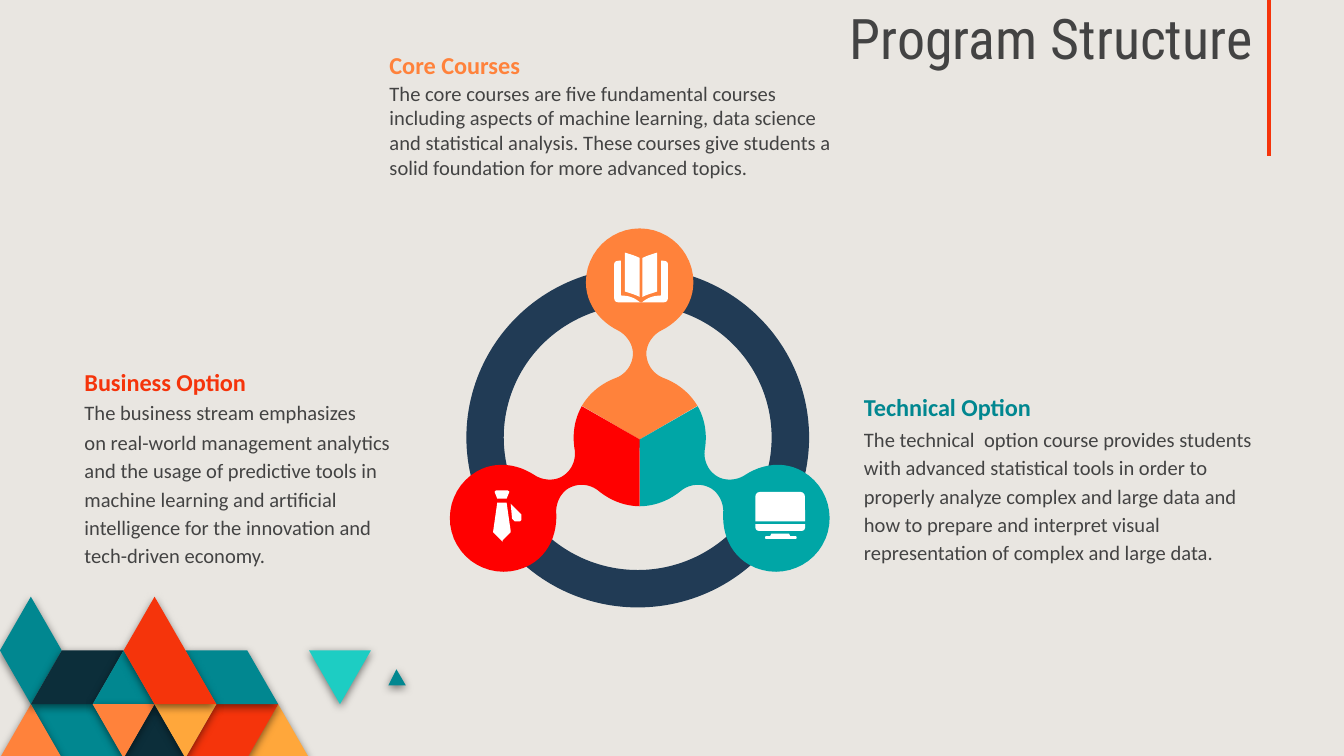
from math import cos, radians, sin

from lxml import etree
from pptx import Presentation
from pptx.dml.color import RGBColor
from pptx.enum.shapes import MSO_CONNECTOR, MSO_SHAPE
from pptx.enum.text import MSO_ANCHOR, PP_ALIGN
from pptx.oxml.ns import qn
from pptx.util import Inches, Pt

PX = 9144
STRAIGHT = MSO_CONNECTOR.STRAIGHT
DONUT = MSO_SHAPE.DONUT
TOP_ROUNDED = MSO_SHAPE.ROUND_2_SAME_RECTANGLE
TOP, BOTTOM = MSO_ANCHOR.TOP, MSO_ANCHOR.BOTTOM
LEFT, RIGHT = PP_ALIGN.LEFT, PP_ALIGN.RIGHT

SAND = RGBColor(0xE9, 0xE6, 0xE1)
GREY = RGBColor(0x43, 0x43, 0x43)
WHITE = RGBColor(0xFF, 0xFF, 0xFF)
NAVY = RGBColor(0x21, 0x3B, 0x55)
INK = RGBColor(0x0C, 0x2E, 0x3A)
ORANGE = RGBColor(0xFF, 0x82, 0x3B)
AMBER = RGBColor(0xFF, 0xA7, 0x3B)
VERMILION = RGBColor(0xF5, 0x34, 0x0B)
RED = RGBColor(0xFF, 0x00, 0x00)
TEAL = RGBColor(0x01, 0x87, 0x90)
CYAN = RGBColor(0x00, 0xA6, 0xA6)
AQUA = RGBColor(0x1D, 0xCD, 0xC3)

HUB = (476, 327)
CELL_W, CELL_H, MOSAIC_TOP = 23, 40, 444

MOSAIC = [
    (AMBER, [(10, 3), (9, 2), (8, 3)]),
    (VERMILION, [(9, 2), (7, 2), (6, 3), (8, 3)]),
    (TEAL, [(4, 3), (3, 2), (1, 2), (2, 3)]),
    (ORANGE, [(2, 3), (1, 2), (0, 3)]),
    (INK, [(6, 3), (5, 2), (4, 3)]),
    (TEAL, [(9, 2), (8, 1), (6, 1), (7, 2)]),
    (AQUA, [(12, 1), (10, 1), (11, 2)]),
    (TEAL, [(2, 1), (1, 0), (0, 1), (1, 2)]),
    (INK, [(4, 1), (2, 1), (1, 2), (3, 2)]),
    (TEAL, [(5, 2), (4, 1), (3, 2)]),
    (ORANGE, [(5, 2), (3, 2), (4, 3)]),
    (AMBER, [(7, 2), (5, 2), (6, 3)]),
    (VERMILION, [(7, 2), (5, 0), (4, 1), (5, 2)]),
]
SMALL_TRIANGLE = [(302, 510), (295, 498), (289, 510)]

HALF_BUBBLE = [
    (476, 170), (454, 170, 436, 188, 436, 210), (436, 226, 446, 239, 460, 246),
    (466, 249, 471, 256, 471, 263), (471, 271, 466, 278, 459, 281),
    (448, 285, 439, 292, 433, 302), HUB,
]
BUBBLES = [(ORANGE, 0), (RED, 240), (CYAN, 120)]

BOOK_CENTRE = 477
BOOK_COVER = [
    (461, 194), (458, 194, 457, 195, 457, 197), (457, 221),
    (457, 224, 458, 225, 461, 225), (477, 225), (476, 225, 475, 224, 475, 224),
    (471, 221, 467, 220, 463, 220), (462, 220, 462, 219, 462, 219), (462, 194),
]
BOOK_PAGE = [
    (465, 188), (465, 217), (468, 218, 472, 219, 476, 221), (476, 192),
    (472, 190, 468, 189, 465, 188),
]
TIE = [
    [(380, 375), (381, 386), (383, 388), (387, 388), (388, 387), (388, 383)],
    [(369, 365), (368, 366), (370, 371), (377, 371), (379, 366), (378, 365)],
    [(370, 374), (367, 395), (367, 396), (373, 402), (374, 403), (374, 402),
     (380, 396), (380, 395), (377, 374)],
]
MONITOR_FOOT = [
    (574, 397), (573, 399), (570, 399), (569, 399, 569, 401, 570, 401),
    (592, 401), (593, 401, 593, 399, 592, 399), (588, 399), (587, 397),
]


def trace(path, steps=12):
    """Turn corner pairs and cubic Bezier sextuples into a list of points."""
    points = []
    for step in path:
        if len(step) == 2:
            points.append(step)
            continue
        x0, y0 = points[-1]
        x1, y1, x2, y2, x3, y3 = step
        for i in range(1, steps + 1):
            t = i / steps
            a, b, c, d = (1 - t) ** 3, 3 * t * (1 - t) ** 2, 3 * t * t * (1 - t), t ** 3
            points.append((a * x0 + b * x1 + c * x2 + d * x3,
                           a * y0 + b * y1 + c * y2 + d * y3))
    return points


def mirror(points, axis):
    """Reflect points across a vertical axis."""
    return [(2 * axis - x, y) for x, y in points]


def rotate(points, degrees):
    """Turn points clockwise about the hub."""
    c, s = cos(radians(degrees)), sin(radians(degrees))
    cx, cy = HUB
    return [(cx + (x - cx) * c - (y - cy) * s, cy + (x - cx) * s + (y - cy) * c)
            for x, y in points]


class SlideKit:
    """Hold the style and the current slide."""

    def __init__(self, slide):
        self.slide = slide
        self.shapes = slide.shapes
        slide.background.fill.solid()
        slide.background.fill.fore_color.rgb = SAND

    def paint(self, shape, color):
        shape.shadow.inherit = False
        shape.fill.solid()
        shape.fill.fore_color.rgb = color
        shape.line.fill.background()
        return shape

    def outline(self, points, color):
        (x, y), *rest = [(round(x * PX), round(y * PX)) for x, y in points]
        builder = self.shapes.build_freeform(x, y, scale=1.0)
        builder.add_line_segments(rest, close=True)
        return self.paint(builder.convert_to_shape(), color)

    def tile(self, points, color):
        effects = self.outline(points, color)._element.spPr.find(qn("a:effectLst"))
        shadow = etree.SubElement(effects, qn("a:outerShdw"), blurRad=str(Pt(4.5)),
                                  dist=str(Pt(1.5)), dir="5400000", rotWithShape="0")
        black = etree.SubElement(shadow, qn("a:srgbClr"), val="000000")
        etree.SubElement(black, qn("a:alpha"), val="50000")

    def preset(self, kind, box, color, adjust, rotation=0):
        shape = self.paint(self.shapes.add_shape(kind, *(v * PX for v in box)), color)
        shape.adjustments[0] = adjust
        shape.rotation = rotation

    def rule(self, x, top, bottom, color):
        line = self.shapes.add_connector(STRAIGHT, x * PX, top * PX, x * PX, bottom * PX)
        line.line.color.rgb = color
        line.line.width = Pt(2.25)
        etree.SubElement(line._element.spPr, qn("a:effectLst"))

    def text(self, box, paragraphs, leading, styles, align=LEFT, anchor=TOP):
        frame = self.shapes.add_textbox(*(v * PX for v in box)).text_frame
        frame.word_wrap = True
        frame.vertical_anchor = anchor
        frame.margin_left = frame.margin_right = 10 * PX
        frame.margin_top = frame.margin_bottom = 10 * PX
        frame.text = "\n".join(paragraphs)
        for index, paragraph in enumerate(frame.paragraphs):
            paragraph.alignment = align
            paragraph.line_spacing = leading[index]
            paragraph.space_before = Pt(min(index, 1))
        runs = [run for paragraph in frame.paragraphs for run in paragraph.runs]
        for index, run in enumerate(runs):
            name, size, color, bold = styles[min(index, len(styles) - 1)]
            run.font.name, run.font.size = name, Pt(size)
            run.font.color.rgb, run.font.bold = color, bold

    def caption(self, box, paragraphs, leading, color):
        self.text(box, paragraphs, leading,
                  [("Calibri", 13, color, True), ("Calibri", 11, GREY, False)])


def main():
    deck = Presentation()
    deck.slide_width = Inches(10)
    deck.slide_height = deck.slide_width * 9 // 16
    kit = SlideKit(deck.slides.add_slide(deck.slide_layouts[6]))

    for color, cells in MOSAIC:
        kit.tile([(col * CELL_W, MOSAIC_TOP + row * CELL_H) for col, row in cells], color)
    kit.tile(SMALL_TRIANGLE, TEAL)
    kit.rule(944, 0, 116, VERMILION)
    kit.text((528, 0, 414, 63), ["Program Structure"], [1.0],
             [("Roboto Condensed", 30, GREY, False)], RIGHT, BOTTOM)

    kit.preset(DONUT, (347, 199, 255, 253), NAVY, 0.11)
    half = trace(HALF_BUBBLE)
    bubble = half + mirror(half, HUB[0])[-2:0:-1]
    for color, degrees in BUBBLES:
        kit.outline(rotate(bubble, degrees), color)

    for part in TIE:
        kit.outline(part, WHITE)
    for part in (BOOK_COVER, BOOK_PAGE):
        points = trace(part)
        kit.outline(points, WHITE)
        kit.outline(mirror(points, BOOK_CENTRE), WHITE)
    kit.outline(trace(MONITOR_FOOT), WHITE)
    kit.preset(TOP_ROUNDED, (562, 390, 37, 5), WHITE, 0.5, 180)
    kit.preset(TOP_ROUNDED, (562, 366, 37, 22), WHITE, 0.16)

    kit.caption((53, 260, 268, 187), [
        "Business Option\vThe business stream emphasizes",
        "on real-world management analytics and the usage of predictive tools in machine "
        "learning and artificial intelligence for the innovation and tech-driven economy.",
    ], [1.15, 1.15], VERMILION)
    kit.caption((280, 27, 364, 149), [
        "Core Courses",
        "The core courses are five fundamental courses  including aspects of machine "
        "learning, data science and statistical analysis. These courses give students a "
        "solid foundation for more advanced topics.",
    ], [1.0, 1.0], ORANGE)
    kit.caption((633, 282, 315, 281), [
        "Technical Option",
        "The technical  option course provides students with advanced statistical tools "
        "in order to properly analyze complex and large data and how to prepare and "
        "interpret visual representation of complex and large data.",
    ], [1.0, 1.15], TEAL)

    deck.save("out.pptx")


if __name__ == "__main__":
    main()
